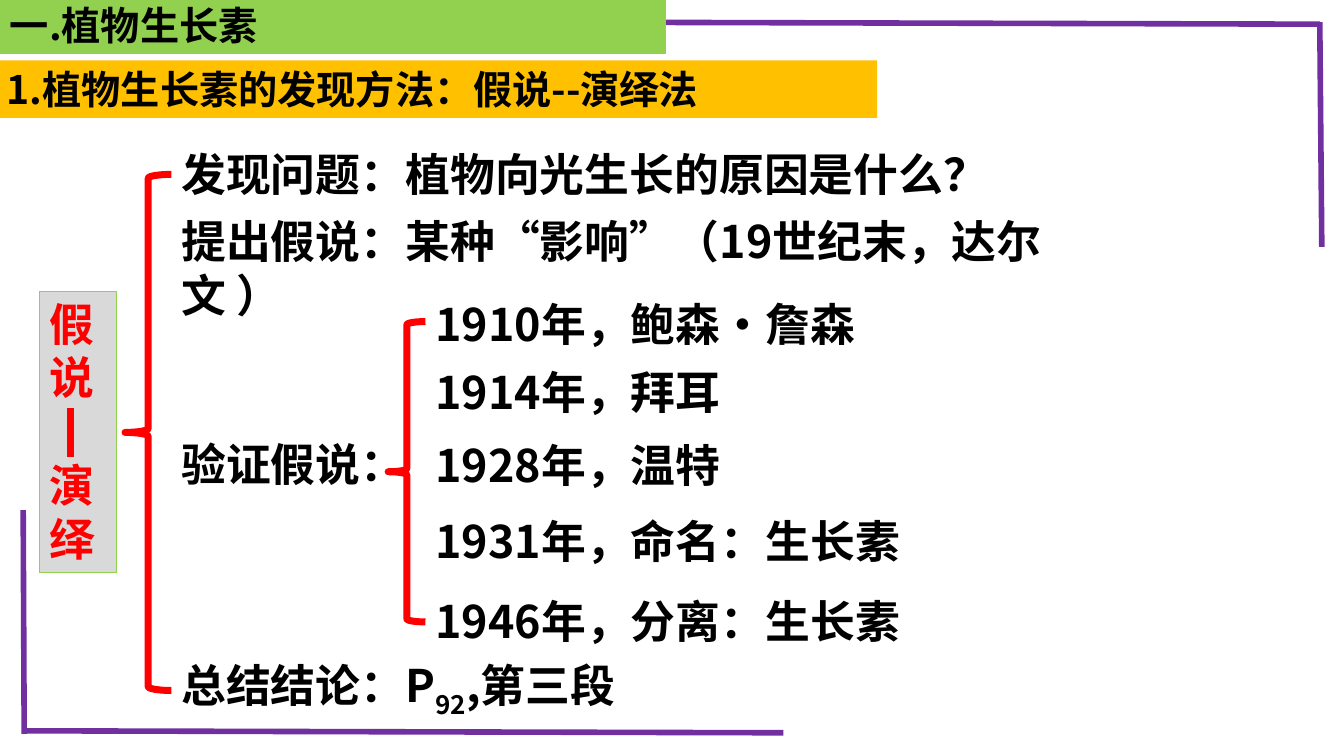
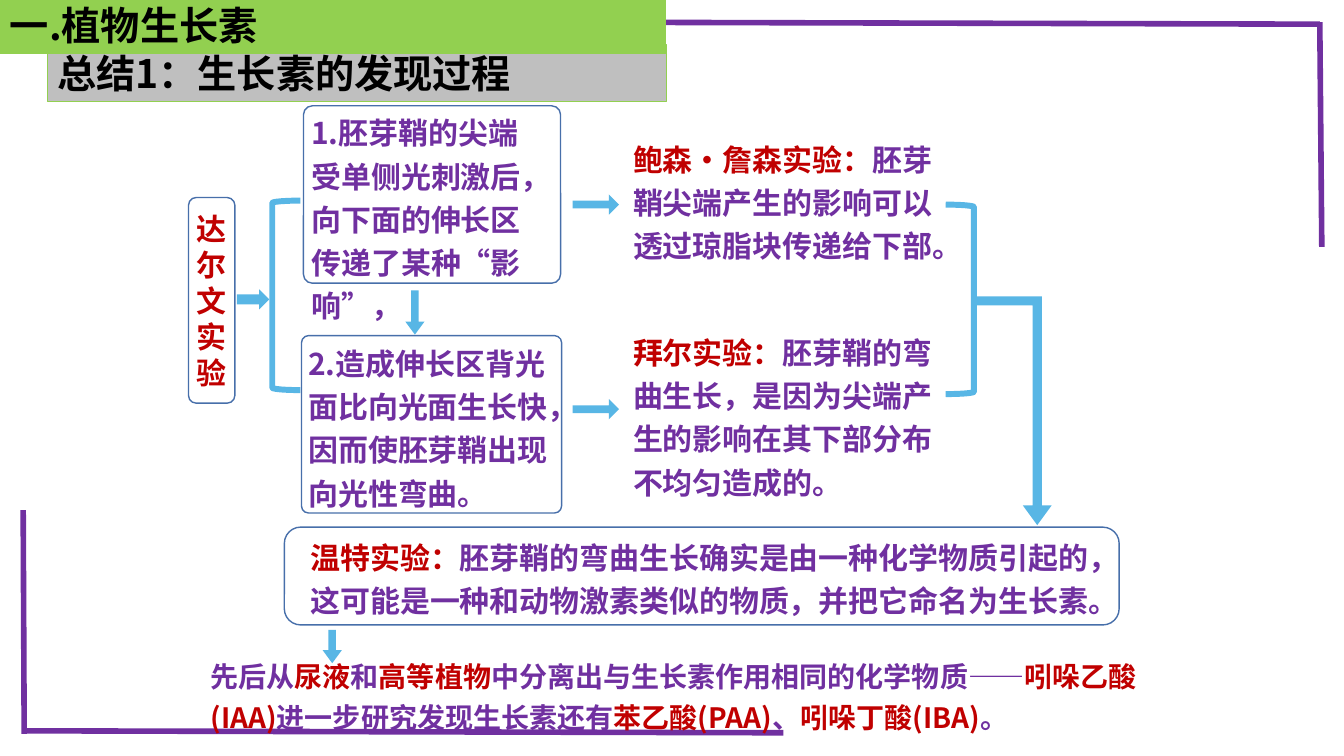
import dataclasses

import lxml.etree
import pptx
import pptx.dml.color
import pptx.enum.shapes
import pptx.enum.text
import pptx.oxml.ns
import pptx.util

Inches = pptx.util.Inches
SHAPE = pptx.enum.shapes.MSO_SHAPE
ANCHOR = pptx.enum.text.MSO_ANCHOR
ALIGN = pptx.enum.text.PP_ALIGN
qn = pptx.oxml.ns.qn


@dataclasses.dataclass(frozen=True)
class Theme:
    """Colours, font and type sizes shared by the slides."""
    font: str = "Noto Sans CJK SC"
    black: str = "000000"
    purple: str = "7030A0"
    dark_red: str = "C00000"
    red: str = "FF0000"
    green: str = "92D050"
    amber: str = "FFC000"
    pale_gray: str = "D9D9D9"
    gray: str = "BFBFBF"
    sky: str = "58B6E5"
    outline: str = "476FAA"
    heading: float = 28
    outline_text: float = 32
    process_text: float = 21.4
    closing_text: float = 20
    process_spacing: float = 1.2


@dataclasses.dataclass(frozen=True)
class Box:
    """A rectangle in inches."""
    left: float
    top: float
    width: float
    height: float

    def inset(self, dx, dy, width, height):
        """Return a box offset from this one's corner."""
        return Box(self.left + dx, self.top + dy, width, height)

    def emu(self):
        """Return the position and size as lengths."""
        return [Inches(v) for v in (self.left, self.top, self.width, self.height)]


THEME = Theme()
PAGE = Box(0, 0, 13.33, 7.5)


def rgb(code):
    """Turn a hex code into a colour."""
    return pptx.dml.color.RGBColor.from_string(code)


def add_rule(slide, start, end, color, weight):
    """Draw a straight line without shadow."""
    rule = slide.shapes.add_connector(
        pptx.enum.shapes.MSO_CONNECTOR.STRAIGHT,
        *[Inches(v) for v in (*start, *end)])
    rule.line.color.rgb = rgb(color)
    rule.line.width = pptx.util.Pt(weight)
    lxml.etree.SubElement(rule._element.spPr, qn("a:effectLst"))


def add_figure(slide, kind, box, fill=None, line=None, weight=0.75, adjust=()):
    """Draw a preset shape with the given fill and line."""
    figure = slide.shapes.add_shape(kind, *box.emu())
    figure.shadow.inherit = False
    if fill:
        figure.fill.solid()
        figure.fill.fore_color.rgb = rgb(fill)
    else:
        figure.fill.background()
    if line:
        figure.line.color.rgb = rgb(line)
        figure.line.width = pptx.util.Pt(weight)
    else:
        figure.line.fill.background()
    for index, value in enumerate(adjust):
        figure.adjustments[index] = value
    return figure


def write(holder, paragraphs, size, spacing=None, align=ALIGN.LEFT,
          anchor=ANCHOR.TOP, gap=0, side=0.1):
    """Write paragraphs of (text, colour[, baseline]) runs."""
    frame = holder.text_frame
    frame.word_wrap = True
    frame.vertical_anchor = anchor
    frame.margin_left = frame.margin_right = Inches(side)
    for index, runs in enumerate(paragraphs):
        paragraph = frame.add_paragraph() if index else frame.paragraphs[0]
        paragraph.alignment = align
        if spacing:
            paragraph.line_spacing = spacing
        if index and gap:
            paragraph.space_before = pptx.util.Pt(gap)
        for text, color, *baseline in runs:
            run = paragraph.add_run()
            run.text = text
            run.font.size = pptx.util.Pt(size)
            run.font.bold = True
            run.font.color.rgb = rgb(color)
            run.font.name = THEME.font
            properties = run._r.get_or_add_rPr()
            lxml.etree.SubElement(properties, qn("a:ea"), typeface=THEME.font)
            if baseline:
                properties.set("baseline", str(baseline[0]))


def add_text(slide, box, paragraphs, size, spacing=None):
    """Place a text box."""
    write(slide.shapes.add_textbox(*box.emu()), paragraphs, size, spacing)


def add_band(slide, box, title, fill, line=None):
    """Place a filled heading band."""
    band = add_figure(slide, SHAPE.RECTANGLE, box, fill, line)
    write(band, [[(title, THEME.black)]], THEME.heading)


def add_frame(slide, box):
    """Draw the purple corner lines around the page."""
    right, bottom = box.left + box.width, box.top + box.height
    for start, end in (
        ((0.23, bottom - 0.25), (7.77, bottom - 0.23)),
        ((5.55, 0.22), (right - 0.24, 0.24)),
        ((right - 0.24, 0.22), (right - 0.22, 2.45)),
        ((0.23, 5.06), (0.24, bottom - 0.22)),
    ):
        add_rule(slide, start, end, THEME.purple, 4)


def add_chapter(slide, box):
    """Place the chapter band shared by the slides."""
    add_band(slide, box.inset(0, -0.04, 6.6, 0.57), "一.植物生长素",
             THEME.green, THEME.green)


def add_method_label(slide, box):
    """Place the upright method name with its dash."""
    label = add_figure(slide, SHAPE.RECTANGLE, box, THEME.pale_gray, THEME.green)
    write(label, [[("假说", THEME.red)], [("演绎", THEME.red)]],
          THEME.outline_text, gap=38.4)
    x = box.left + 0.31
    add_rule(slide, (x, box.top + 1.16), (x, box.top + 1.64), THEME.red, 4.5)


def add_brace(slide, box):
    """Draw a red brace."""
    add_figure(slide, SHAPE.LEFT_BRACE, box, line=THEME.red, weight=5)


def add_steps(slide, box):
    """Place the steps of the method inside their brace."""
    black = THEME.black
    steps = (
        (0, [("发现问题：植物向光生长的原因是什么？", black)], 9.37),
        (0.66, [("提出假说：某种“影响”（19世纪末，达尔文 ）", black)], 9.37),
        (2.87, [("验证假说：", black)], 2.52),
        (5.07, [("总结结论：P", black), ("92", black, -25000),
                (",第三段", black)], 6.04),
    )
    for dy, runs, width in steps:
        add_text(slide, box.inset(0, dy, width, 0.64), [runs], THEME.outline_text)
    add_brace(slide, box.inset(-0.46, 0.32, 0.46, 5.12))


def add_timeline(slide, box):
    """Place the dated experiments inside their brace."""
    events = (
        (0, "1910年，鲍森•詹森"),
        (0.68, "1914年，拜耳"),
        (1.4, "1928年，温特"),
        (2.16, "1931年，命名：生长素"),
        (2.95, "1946年，分离：生长素"),
    )
    for dy, event in events:
        add_text(slide, box.inset(0, dy, box.width, 0.64),
                 [[(event, THEME.black)]], THEME.outline_text)
    add_brace(slide, box.inset(-0.37, 0.3, 0.37, 2.98))


def add_arrow(slide, kind, box, adjust=()):
    """Draw a blue block arrow."""
    return add_figure(slide, kind, box, THEME.sky, adjust=adjust)


def add_panel(slide, box, corner=None):
    """Draw a rounded outline."""
    return add_figure(slide, SHAPE.ROUNDED_RECTANGLE, box, line=THEME.outline,
                      weight=1, adjust=() if corner is None else (corner,))


def add_darwin(slide, box):
    """Place the first experiment and its two findings."""
    name = add_panel(slide, box.inset(0, 0.91, 0.46, 2.04))
    write(name, [[("达尔文实验", THEME.dark_red)]], THEME.process_text,
          align=ALIGN.CENTER, anchor=ANCHOR.MIDDLE, side=0.05)
    add_arrow(slide, SHAPE.RIGHT_ARROW, box.inset(0.48, 1.82, 0.32, 0.2))
    add_figure(slide, SHAPE.LEFT_BRACKET, box.inset(0.83, 0.94, 0.28, 1.88),
               line=THEME.sky, weight=4.25)
    findings = (
        (box.inset(1.14, 0, 2.55, 1.76), 0.05, (-0.02, -0.03), 2.53,
         "1.胚芽鞘的尖端受单侧光刺激后，向下面的伸长区传递了某种“影响”，"),
        (box.inset(1.12, 2.28, 2.58, 1.76), 0.04, (-0.03, -0.02), 2.69,
         "2.造成伸长区背光面比向光面生长快，因而使胚芽鞘出现向光性弯曲。"),
    )
    for panel, corner, (dx, dy), width, finding in findings:
        add_panel(slide, panel, corner)
        add_text(slide, panel.inset(dx, dy, width, 1.83), [[(finding, THEME.purple)]],
                 THEME.process_text, THEME.process_spacing)
    add_arrow(slide, SHAPE.DOWN_ARROW, box.inset(2.15, 1.83, 0.19, 0.44), (0.39, 0.68))


def add_followups(slide, box):
    """Place the two later experiments and the bracket joining them."""
    experiments = (
        (0, 0.65, "鲍森·詹森实验：",
         "胚芽鞘尖端产生的影响可以透过琼脂块传递给下部。"),
        (1.92, 2.68, "拜尔实验：",
         "胚芽鞘的弯曲生长，是因为尖端产生的影响在其下部分布不均匀造成的。"),
    )
    for dy, arrow_dy, name, result in experiments:
        add_arrow(slide, SHAPE.RIGHT_ARROW, box.inset(0, arrow_dy, 0.46, 0.2),
                  (0.38, 0.5))
        add_text(slide, box.inset(0.5, dy, 3.25, 1.83),
                 [[(name, THEME.dark_red), (result, THEME.purple)]],
                 THEME.process_text, THEME.process_spacing)
    add_figure(slide, SHAPE.RIGHT_BRACKET, box.inset(3.7, 0.75, 0.28, 1.88),
               line=THEME.sky, weight=4.25)
    turn = add_arrow(slide, SHAPE.BENT_UP_ARROW, box.inset(4, 1.66, 0.75, 2.27),
                     (0.12, 0.19, 0.26))
    turn._element.spPr.find(qn("a:xfrm")).set("flipV", "1")


def add_conclusion(slide, box):
    """Place the naming experiment and the closing statement."""
    add_panel(slide, box.inset(0, 0, box.width, 0.97))
    add_text(slide, box.inset(0.16, 0, 8.25, 0.96), [
        [("温特实验：", THEME.dark_red),
         ("胚芽鞘的弯曲生长确实是由一种化学物质引起的，", THEME.purple)],
        [("这可能是一种和动物激素类似的物质，并把它命名为生长素。", THEME.purple)],
    ], THEME.process_text, THEME.process_spacing)
    add_arrow(slide, SHAPE.DOWN_ARROW, box.inset(0.38, 1.02, 0.19, 0.33), (0.39, 0.68))
    pieces = ("先后从", "尿液", "和", "高等植物",
              "中分离出与生长素作用相同的化学物质——", "吲哚乙酸(IAA)",
              "进一步研究发现生长素还有", "苯乙酸(PAA)", "、", "吲哚丁酸(IBA)", "。")
    colors = (THEME.purple, THEME.dark_red)
    add_text(slide, box.inset(-0.83, 1.2, 9.47, 0.91),
             [[(piece, colors[i % 2]) for i, piece in enumerate(pieces)]],
             THEME.closing_text, THEME.process_spacing)


def build_method_slide(slide, page):
    """Build the slide on the discovery method."""
    add_frame(slide, page)
    add_band(slide, page.inset(-0.03, 0.6, 8.73, 0.57),
             "1.植物生长素的发现方法：假说--演绎法", THEME.amber)
    add_chapter(slide, page)
    add_method_label(slide, page.inset(0.39, 2.89, 0.77, 2.79))
    add_steps(slide, page.inset(1.7, 1.41, 9.37, 5.71))
    add_timeline(slide, page.inset(4.22, 2.89, 5.03, 3.59))


def build_process_slide(slide, page):
    """Build the slide summing up the discovery process."""
    add_frame(slide, page)
    add_band(slide, page.inset(0.47, 0.44, 6.14, 0.57), "总结1：生长素的发现过程",
             THEME.gray, THEME.green)
    add_darwin(slide, page.inset(1.87, 1.05, 3.7, 4.04))
    add_followups(slide, page.inset(5.68, 1.28, 4.75, 3.93))
    add_conclusion(slide, page.inset(2.82, 5.23, 8.28, 2.11))
    add_chapter(slide, page)


def main():
    """Build and save the presentation."""
    deck = pptx.Presentation()
    deck.slide_width, deck.slide_height = PAGE.emu()[2:]
    for build in (build_method_slide, build_process_slide):
        build(deck.slides.add_slide(deck.slide_layouts[6]), PAGE)
    deck.save("out.pptx")


if __name__ == "__main__":
    main()
